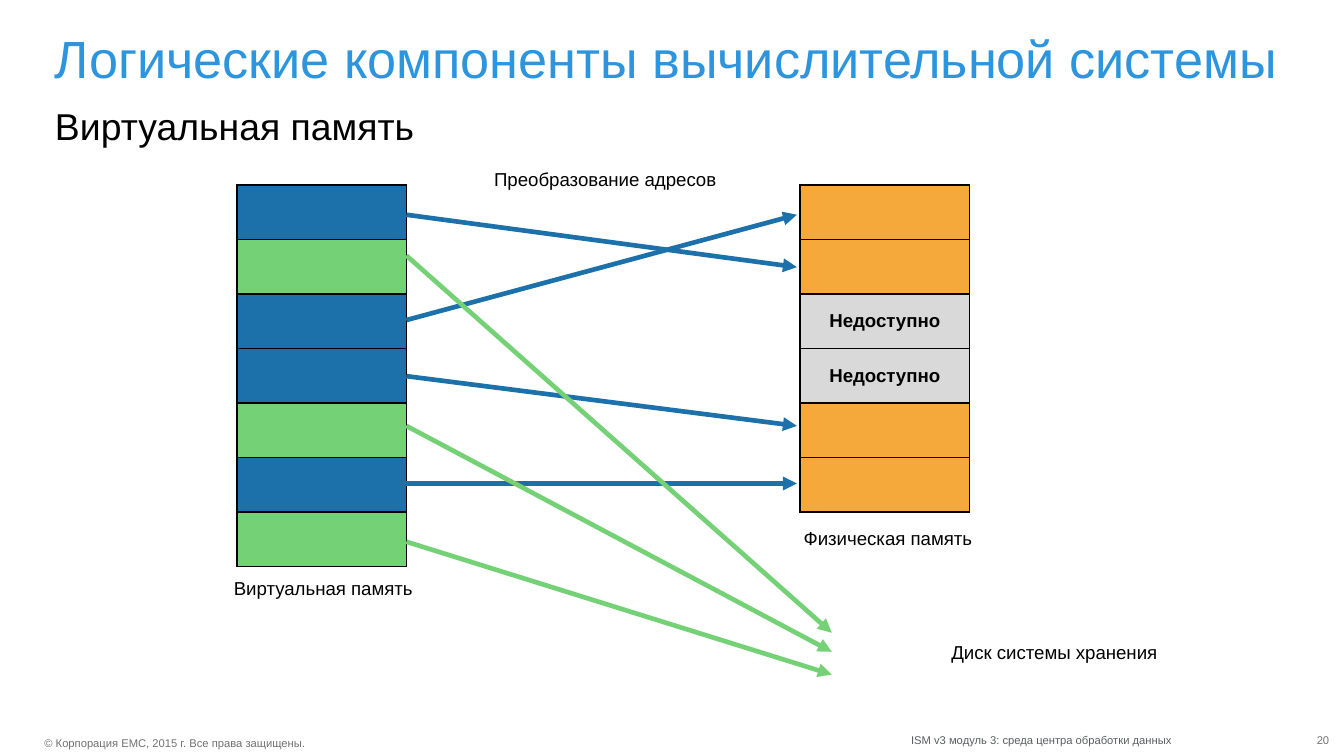
from lxml.etree import SubElement
from pptx import Presentation
from pptx.dml.color import RGBColor
from pptx.enum.shapes import MSO_CONNECTOR
from pptx.enum.text import MSO_ANCHOR, PP_ALIGN
from pptx.oxml.ns import qn
from pptx.util import Cm, Pt

THEME = {
    "font": "Arial",
    "blue": "1C71AB", "green": "75D175", "amber": "F4A93A", "gray": "D9D9D9",
    "title": "2C95DD", "black": "000000", "foot": "717073", "module": "5B5E61",
    "big": 28, "sub": 20, "body": 10, "small": 6, "edge": 1, "arrow": 2.5,
}

HEADS = [
    ("Логические компоненты вычислительной системы", 1.04, 0.64, 23.5, 1.27, "big", "title"),
    ("Виртуальная память", 1.04, 1.96, 23.47, 0.84, "sub", "black"),
]
FEET = [
    ("© Корпорация EMC, 2015\u00a0г. Все права защищены.", 0.84, 13.92, 5, PP_ALIGN.LEFT, "foot"),
    ("ISM v3 модуль 3: среда центра обработки данных", 17.22, 13.87, 5, PP_ALIGN.LEFT, "module"),
    ("20", 24.33, 13.87, 0.79, PP_ALIGN.RIGHT, "foot"),
]
LABELS = [
    ("Виртуальная память", 4.17, 10.77, 3.94),
    ("Физическая память", 14.94, 9.83, 3.76),
    ("Диск системы хранения", 17.73, 11.99, 4.55),
    ("Преобразование адресов", 9.09, 3.05, 4.8),
]
NONE = "Недоступно"
VIRTUAL = [(fill, "") for fill in
           ("blue", "green", "blue", "blue", "green", "blue", "green")]
REAL = [("amber", ""), ("amber", ""), ("gray", NONE), ("gray", NONE),
        ("amber", ""), ("amber", "")]
TOP, ROW, WIDE = 3.5, 1.03, 3.2
LEFT, RIGHT = 4.48, 15.12
LINKS = [
    ("blue", 15.06, [(4.06, 5.05), (6.05, 4.06), (7.11, 8.05), (9.14, 9.14)]),
    ("green", 15.72, [(4.83, 11.96), (8.05, 12.32), (10.24, 12.75)]),
]


def color(name):
    return RGBColor.from_string(THEME[name])


def write(frame, text, size, tone, align=PP_ALIGN.LEFT, bold=False):
    para = frame.paragraphs[0]
    para.alignment = align
    run = para.add_run()
    run.text = text
    font = run.font
    font.name, font.size, font.bold = THEME["font"], Pt(THEME[size]), bold
    font.color.rgb = color(tone)
    return para


def add_text(slide, text, box, size, tone, align=PP_ALIGN.LEFT, pad=False, wrap=True):
    frame = slide.shapes.add_textbox(*map(Cm, box)).text_frame
    frame.word_wrap = wrap
    if not pad:
        frame.margin_left = frame.margin_right = 0
        frame.margin_top = frame.margin_bottom = 0
    return write(frame, text, size, tone, align)


def add_edge(cell):
    props = cell._tc.get_or_add_tcPr()
    for spot, side in enumerate(("a:lnL", "a:lnR", "a:lnT", "a:lnB")):
        line = SubElement(props, qn(side), w=str(Pt(THEME["edge"])))
        props.remove(line)
        props.insert(spot, line)
        fill = SubElement(line, qn("a:solidFill"))
        SubElement(fill, qn("a:srgbClr"), val=THEME["black"])


def add_stack(slide, left, cells):
    frame = slide.shapes.add_table(
        len(cells), 1, Cm(left), Cm(TOP), Cm(WIDE), Cm(ROW * len(cells)))
    table = frame.table
    table.first_row = table.horz_banding = False
    for row, (fill, text) in enumerate(cells):
        table.rows[row].height = Cm(ROW)
        cell = table.cell(row, 0)
        cell.fill.solid()
        cell.fill.fore_color.rgb = color(fill)
        cell.vertical_anchor = MSO_ANCHOR.MIDDLE
        add_edge(cell)
        if text:
            write(cell.text_frame, text, "body", "black", PP_ALIGN.CENTER, True)
        else:
            cell.text_frame.paragraphs[0].font.size = Pt(THEME["body"])


def add_arrow(slide, tone, start, end):
    link = slide.shapes.add_connector(MSO_CONNECTOR.STRAIGHT, *map(Cm, start + end))
    link.line.color.rgb = color(tone)
    link.line.width = Pt(THEME["arrow"])
    SubElement(link.line._get_or_add_ln(), qn("a:tailEnd"), type="triangle")
    SubElement(link._element.spPr, qn("a:effectLst"))


def main():
    deck = Presentation()
    deck.slide_width, deck.slide_height = Cm(25.4), Cm(14.29)
    slide = deck.slides.add_slide(deck.slide_layouts[6])
    for text, left, top, wide, high, size, tone in HEADS:
        para = add_text(slide, text, (left, top, wide, high), size, tone)
        if size == "big":
            para.line_spacing = 0.9
    add_stack(slide, LEFT, VIRTUAL)
    add_stack(slide, RIGHT, REAL)
    for tone, end, pairs in LINKS:
        for first, last in pairs:
            add_arrow(slide, tone, (LEFT + WIDE, first), (end, last))
    for text, left, top, wide in LABELS:
        add_text(slide, text, (left, top, wide, 0.69), "body", "black",
                 pad=True, wrap=False)
    for text, left, top, wide, align, tone in FEET:
        add_text(slide, text, (left, top, wide, 0.25), "small", tone, align)
    deck.save("out.pptx")


if __name__ == "__main__":
    main()
